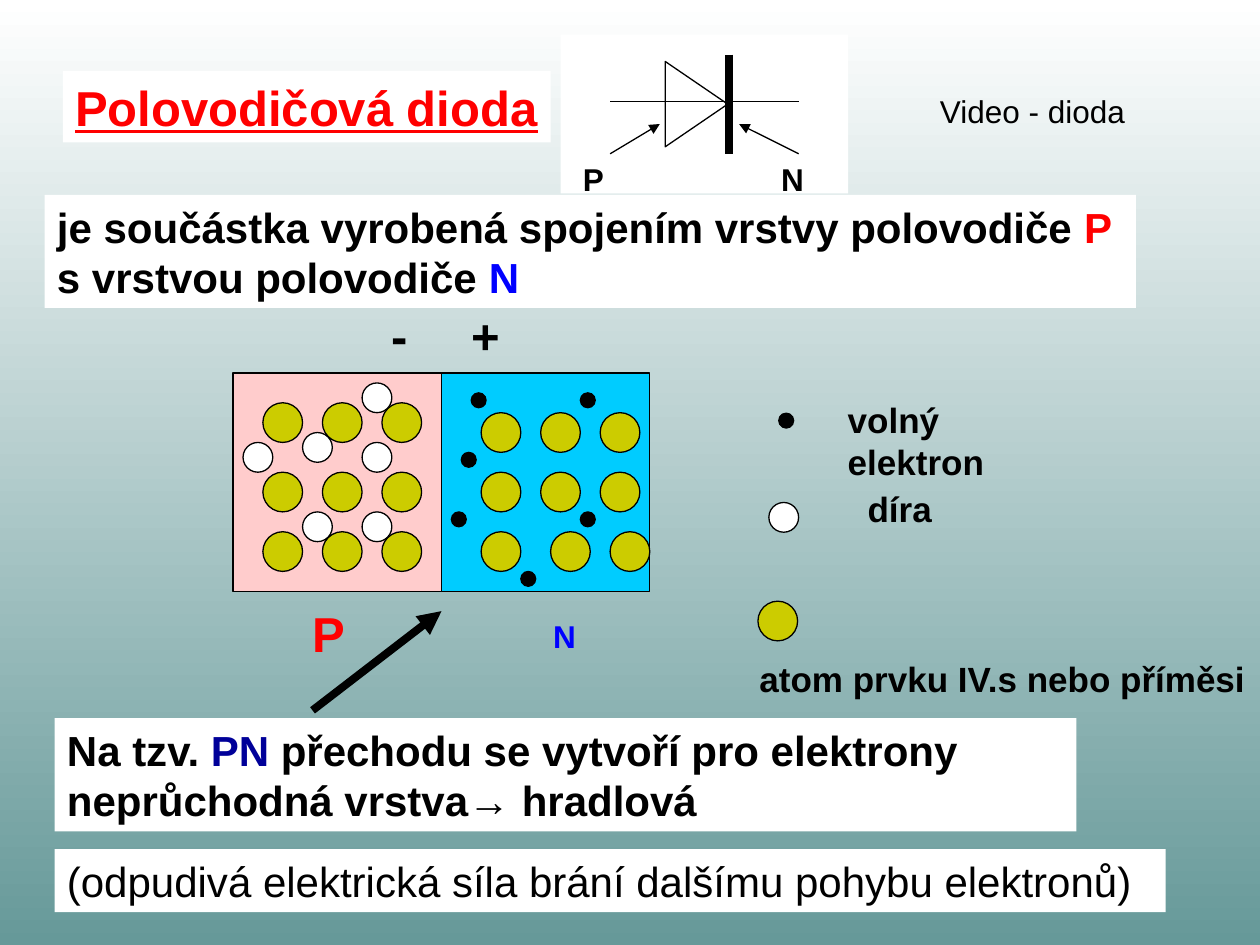
from lxml import etree
from pptx import Presentation
from pptx.dml.color import RGBColor
from pptx.enum.shapes import MSO_CONNECTOR, MSO_SHAPE
from pptx.oxml.ns import qn
from pptx.util import Inches, Mm, Pt

RECT, OVAL = MSO_SHAPE.RECTANGLE, MSO_SHAPE.OVAL
TRIANGLE = MSO_SHAPE.ISOSCELES_TRIANGLE
STRAIGHT = MSO_CONNECTOR.STRAIGHT

BLACK, WHITE, RED, BLUE, NAVY = "000000", "FFFFFF", "FF0000", "0000FF", "000099"
PINK, CYAN, OLIVE = "FFCCCC", "00CCFF", "CCCC00"

# Particle diameters and colours
ATOM, HOLE, ELECTRON = (4, OLIVE), (3, WHITE), (1.5, BLACK)


def grid(n):
    """Length of n columns or rows; the slide is 127 columns wide."""
    return Mm(2 * n)


def rgb(color):
    return RGBColor.from_string(color)


def shape(s, kind, x, y, w, h, fill=None, line=BLACK):
    sp = s.shapes.add_shape(kind, grid(x), grid(y), grid(w), grid(h))
    sp.shadow.inherit = False
    if fill:
        sp.fill.solid()
        sp.fill.fore_color.rgb = rgb(fill)
    else:
        sp.fill.background()
    if line:
        sp.line.color.rgb = rgb(line)
        sp.line.width = Pt(0.75)
    else:
        sp.line.fill.background()
    return sp


def particle(s, kind, x, y):
    size, color = kind
    shape(s, OVAL, x, y, size, size, color)


def line(s, x1, y1, x2, y2, width=0.75, arrow=False):
    c = s.shapes.add_connector(STRAIGHT, grid(x1), grid(y1), grid(x2), grid(y2))
    c.line.color.rgb = rgb(BLACK)
    c.line.width = Pt(width)
    if arrow:
        etree.SubElement(c.line._get_or_add_ln(), qn("a:tailEnd"), type="triangle")
    etree.SubElement(c._element.spPr, qn("a:effectLst"))


def text(s, x, y, w, h, paragraphs, size, bold=True, underline=False,
         fill=None, wrap=False):
    """Each paragraph is a list of (wording, colour) runs."""
    sp = s.shapes.add_textbox(grid(x), grid(y), grid(w), grid(h))
    if fill:
        sp.fill.solid()
        sp.fill.fore_color.rgb = rgb(fill)
    tf = sp.text_frame
    tf.word_wrap = wrap
    for i, runs in enumerate(paragraphs):
        p = tf.add_paragraph() if i else tf.paragraphs[0]
        for wording, color in runs:
            r = p.add_run()
            r.text = wording
            r.font.name = "Arial"
            r.font.size = Pt(size)
            r.font.bold = bold
            if underline:
                r.font.underline = True
            r.font.color.rgb = rgb(color)


def heading(s, x, y):
    text(s, x, y, 49.15, 7.2, [[("Polovodičová dioda", RED)]], 28,
         underline=True, fill=WHITE)
    text(s, x + 87.15, y + 1.5, 27, 5.1, [[("Video - dioda", BLACK)]], 18,
         bold=False, wrap=True)


def definition(s, x, y):
    text(s, x, y, 110, 11.4, [
        [("je součástka vyrobená spojením vrstvy polovodiče ", BLACK), ("P", RED)],
        [("s vrstvou polovodiče ", BLACK), ("N", BLUE)],
    ], 24, fill=WHITE)


def diode_symbol(s, x, y, w, h):
    shape(s, RECT, x, y, w, h, WHITE, None)
    shape(s, TRIANGLE, x + 9.4, y + 3.85, 8.6, 6.3).rotation = 90
    line(s, x + 17, y + 2, x + 17, y + 12, 4.5)  # cathode
    line(s, x + 5, y + 6.75, x + 24, y + 6.75)  # lead
    for label, col, start, end in (("P", 1, 5, 10), ("N", 21, 24, 18)):
        line(s, x + start, y + 12, x + end, y + 9, arrow=True)
        text(s, x + col, y + 12, 4.7, 5.1, [[(label, BLACK)]], 18)


def layer(s, x, y, w, h, fill, atoms, carrier, spots):
    shape(s, RECT, x, y, w, h, fill)
    for row, cols in atoms:
        for col in cols:
            particle(s, ATOM, x + col, y + row)
    for col, row in spots:
        particle(s, carrier, x + col, y + row)


def junction(s, x, y, w, h):
    half = w / 2
    n = x + half
    layer(s, x, y, half, h, PINK, [(row, (3, 9, 15)) for row in (3, 10, 16)],
          HOLE, [(13, 1), (7, 6), (1, 7), (13, 7), (7, 14), (13, 14)])
    layer(s, n, y, half, h, CYAN,
          [(4, (4, 10, 16)), (10, (4, 10, 16)), (16, (4, 11, 17))],
          ELECTRON, [(3, 2), (14, 2), (2, 8), (1, 14), (14, 14), (8, 20)])
    # Charges above, layer names below
    text(s, x + 14.7, y - 7.4, 4.2, 7.2, [[("-", BLACK)]], 28)
    text(s, n + 1.8, y - 7.4, 5.3, 7.2, [[("+", BLACK)]], 28)
    text(s, x + 6.75, y + 22.6, 5.8, 7.2, [[("P", RED)]], 28)
    text(s, n + 10, y + 24, 4.8, 5.1, [[("N", BLUE)]], 18)
    # Pointer to the boundary
    line(s, x + 8, y + 34, n, y + 24, 4.5, arrow=True)


def legend(s, x, y):
    entries = (
        (ELECTRON, 4.1, 2.15, "volný elektron", 9.8, 0, 26.4),
        (HOLE, 3.1, 11.15, "díra", 11.8, 9, 9),
        (ATOM, 2, 21.1, "atom prvku IV.s nebo příměsi", 0.9, 26.15, 51.6),
    )
    for kind, col, row, label, label_col, label_row, width in entries:
        particle(s, kind, x + col, y + row)
        text(s, x + label_col, y + label_row, width, 5.6, [[(label, BLACK)]], 20)


def notes_panels(s, x, y):
    text(s, x, y, 103, 11.4, [
        [("Na tzv. ", BLACK), ("PN", NAVY),
         (" přechodu se vytvoří pro elektrony", BLACK)],
        [("neprůchodná vrstva→ hradlová", BLACK)],
    ], 24, fill=WHITE, wrap=True)
    text(s, x, y + 13.2, 112, 6.35,
         [[("(odpudivá elektrická síla brání dalšímu pohybu elektronů)", BLACK)]],
         24, bold=False, fill=WHITE, wrap=True)


def background(s):
    fill = s.background.fill
    fill.gradient()
    fill.gradient_angle = 270
    for stop, color in zip(fill.gradient_stops, (WHITE, "669999")):
        stop.color.rgb = rgb(color)


def main():
    prs = Presentation()
    prs.slide_width, prs.slide_height = Inches(10), Inches(7.5)
    s = prs.slides.add_slide(prs.slide_layouts[6])
    background(s)
    definition(s, 4.5, 19.65)
    diode_symbol(s, 56.5, 3.5, 29, 16)
    heading(s, 6.35, 7.15)
    junction(s, 23.5, 37.6, 42, 22)
    legend(s, 74.4, 39.5)
    notes_panels(s, 5.5, 72.4)
    prs.save("out.pptx")


if __name__ == "__main__":
    main()
